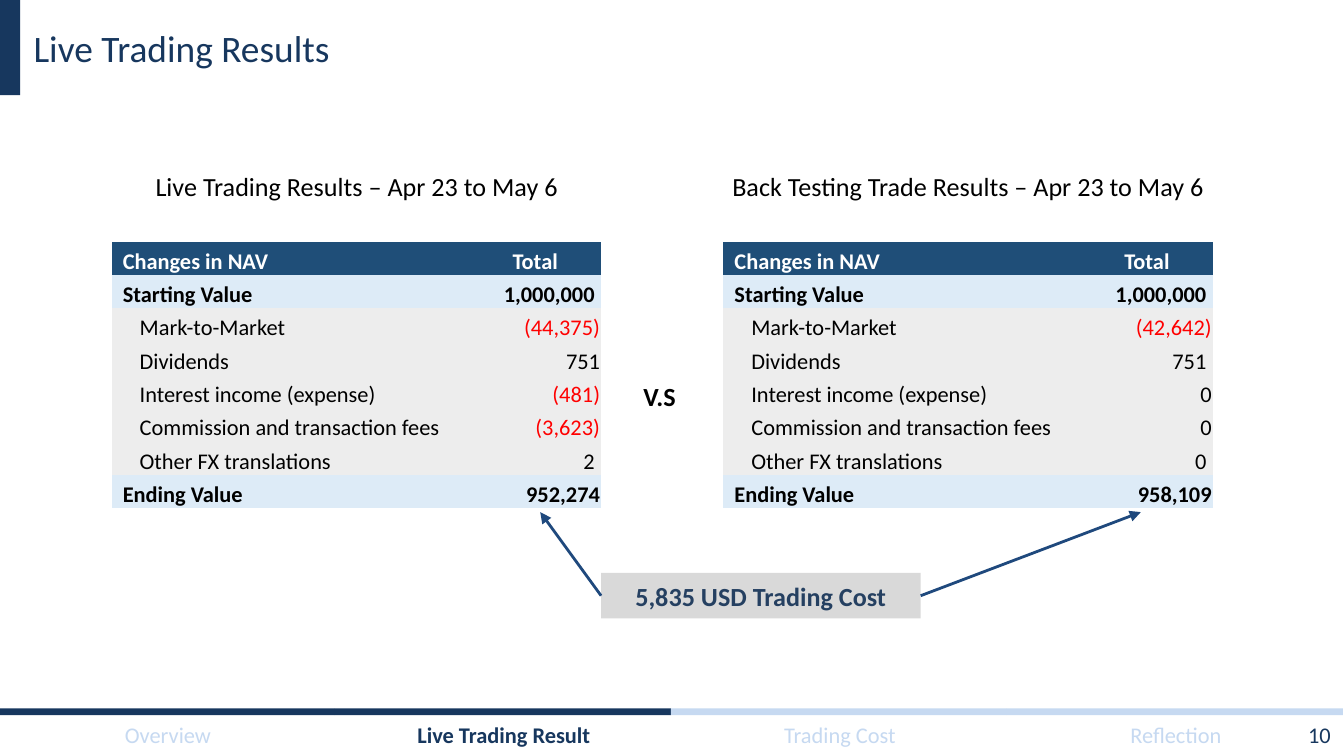
import pptx
import pptx.util
import pptx.dml.color
import pptx.enum.shapes
import pptx.enum.text
import pptx.oxml.ns
import lxml.etree

Cm = pptx.util.Cm
Color = pptx.dml.color.RGBColor
Align = pptx.enum.text.PP_ALIGN
Anchor = pptx.enum.text.MSO_ANCHOR
Shapes = pptx.enum.shapes.MSO_SHAPE
qn = pptx.oxml.ns.qn

NAVY = Color(0x17, 0x37, 0x5E)
PALE_BLUE = Color(0xC6, 0xD9, 0xF1)
HEADER_BLUE = Color(0x1F, 0x4E, 0x78)
TOTAL_BLUE = Color(0xDD, 0xEB, 0xF7)
DETAIL_GRAY = Color(0xED, 0xED, 0xED)
COST_GRAY = Color(0xD9, 0xD9, 0xD9)
COST_TEXT = Color(0x25, 0x40, 0x61)
ARROW_BLUE = Color(0x1F, 0x49, 0x7D)
BLACK = Color(0, 0, 0)
WHITE = Color(255, 255, 255)
RED = Color(255, 0, 0)
FONT = "Calibri"
PLAIN_TABLE = "{2D5ABB26-0587-4C30-8999-92F81FD0307C}"

TITLE = "Live Trading Results"
PAGE_NUMBER = "10"
TABS = ["Overview", "Live Trading Result", "Trading Cost", "Reflection"]
CURRENT_TAB = 1
COST = "5,835 USD Trading Cost"
LABELS = ["Changes in NAV", "Starting Value", "Mark-to-Market", "Dividends",
          "Interest income (expense)", "Commission and transaction fees",
          "Other FX translations", "Ending Value"]
RESULTS = [
    {"caption": "Live Trading Results – Apr 23 to May 6",
     "caption_left": 2.69, "caption_width": 8.26, "left": 2.11, "arrow": 10.21,
     "values": ["Total", "1,000,000", "(44,375)", "751", "(481)", "(3,623)", "2", "952,274"],
     "inset_rows": [1, 6]},
    {"caption": "Back Testing Trade Results – Apr 23 to May 6",
     "caption_left": 13.59, "caption_width": 9.63, "left": 13.67, "arrow": 21.56,
     "values": ["Total", "1,000,000", "(42,642)", "751", "0", "0", "0", "958,109"],
     "inset_rows": [1, 3, 6]},
]

deck = pptx.Presentation()
deck.slide_width, deck.slide_height = Cm(25.4), Cm(14.29)
page = deck.slides.add_slide(deck.slide_layouts[5])


def write(frame, text, size, color, bold=False, align=Align.LEFT):
    para = frame.paragraphs[0]
    para.alignment = align
    span = para.add_run()
    span.text = text
    span.font.name, span.font.size = FONT, pptx.util.Pt(size)
    span.font.color.rgb, span.font.bold = color, bold


def add_bar(left, top, width, height, color):
    bar = page.shapes.add_shape(Shapes.RECTANGLE, Cm(left), Cm(top), Cm(width), Cm(height))
    bar.shadow.inherit = False
    bar.fill.solid()
    bar.fill.fore_color.rgb = color
    bar.line.fill.background()
    return bar


def add_text(text, left, top, width, height, size, color, bold=False,
             align=Align.LEFT, wrap=False):
    box = page.shapes.add_textbox(Cm(left), Cm(top), Cm(width), Cm(height))
    box.text_frame.word_wrap = wrap
    write(box.text_frame, text, size, color, bold, align)
    return box


def add_results_table(result):
    frame = page.shapes.add_table(len(LABELS), 2, Cm(result["left"]), Cm(4.57),
                                  Cm(9.25), Cm(5.04))
    table = frame.table
    table.first_row = table.horz_banding = False
    table._tbl.tblPr.find(qn("a:tableStyleId")).text = PLAIN_TABLE
    table.columns[0].width, table.columns[1].width = Cm(6.76), Cm(2.49)
    last = len(LABELS) - 1
    for row, texts in enumerate(zip(LABELS, result["values"])):
        table.rows[row].height = Cm(0.63)
        detail = 1 < row < last
        fill = HEADER_BLUE if row == 0 else DETAIL_GRAY if detail else TOTAL_BLUE
        for column, text in enumerate(texts):
            cell = table.cell(row, column)
            cell.fill.solid()
            cell.fill.fore_color.rgb = fill
            cell.vertical_anchor = Anchor.BOTTOM
            cell.margin_top, cell.margin_bottom = Cm(0.02), Cm(0)
            cell.margin_left = cell.margin_right = Cm(0.02)
            align = Align.LEFT
            if column == 0:
                cell.margin_left = Cm(0.53 if detail else 0.21)
            else:
                align = Align.RIGHT if row else Align.CENTER
                if row in result["inset_rows"]:
                    cell.margin_right = Cm(0.12)
            negative = column == 1 and text.startswith("(")
            color = WHITE if row == 0 else RED if negative else BLACK
            write(cell.text_frame, text, 12, color, not detail, align)


def add_arrow(box, site, tip):
    arrow = page.shapes.add_connector(pptx.enum.shapes.MSO_CONNECTOR.STRAIGHT,
                                      Cm(0), Cm(0), Cm(tip), Cm(9.68))
    arrow.begin_connect(box, site)
    arrow.line.color.rgb = ARROW_BLUE
    arrow.line.width = pptx.util.Pt(1.5)
    lxml.etree.SubElement(arrow.line._get_or_add_ln(), qn("a:tailEnd"), type="triangle")
    lxml.etree.SubElement(arrow._element.spPr, qn("a:effectLst"))


add_bar(-0.02, 0, 0.4, 1.8, NAVY)
title = page.shapes.title
title.left, title.top, title.width, title.height = Cm(0.38), Cm(0), Cm(23.01), Cm(1.8)
title.text_frame.vertical_anchor = Anchor.MIDDLE
write(title.text_frame, TITLE, 20, NAVY)

for index, tab in enumerate(TABS):
    left = 6.35 * index
    current = index == CURRENT_TAB
    add_bar(left - 0.02, 13.39, 6.35, 0.13, NAVY if index <= CURRENT_TAB else PALE_BLUE)
    add_text(tab, left, 13.51, 6.35, 0.77, 12, NAVY if current else PALE_BLUE,
             current, Align.CENTER, True)
number = add_text(PAGE_NUMBER, 19.48, 13.51, 5.92, 0.77, 12, NAVY, False, Align.RIGHT, True)
number.text_frame.vertical_anchor = Anchor.MIDDLE

for result in RESULTS:
    add_text(result["caption"], result["caption_left"], 3.1, result["caption_width"],
             0.86, 14, BLACK)
    add_results_table(result)
add_text("V.S", 11.91, 7.06, 1.17, 0.86, 14, BLACK, True)

cost_box = add_bar(11.36, 10.83, 6.04, 0.86, COST_GRAY)
write(cost_box.text_frame, COST, 14, COST_TEXT, True, Align.CENTER)
for result, site in zip(RESULTS, (1, 3)):
    add_arrow(cost_box, site, result["arrow"])

deck.save("out.pptx")
